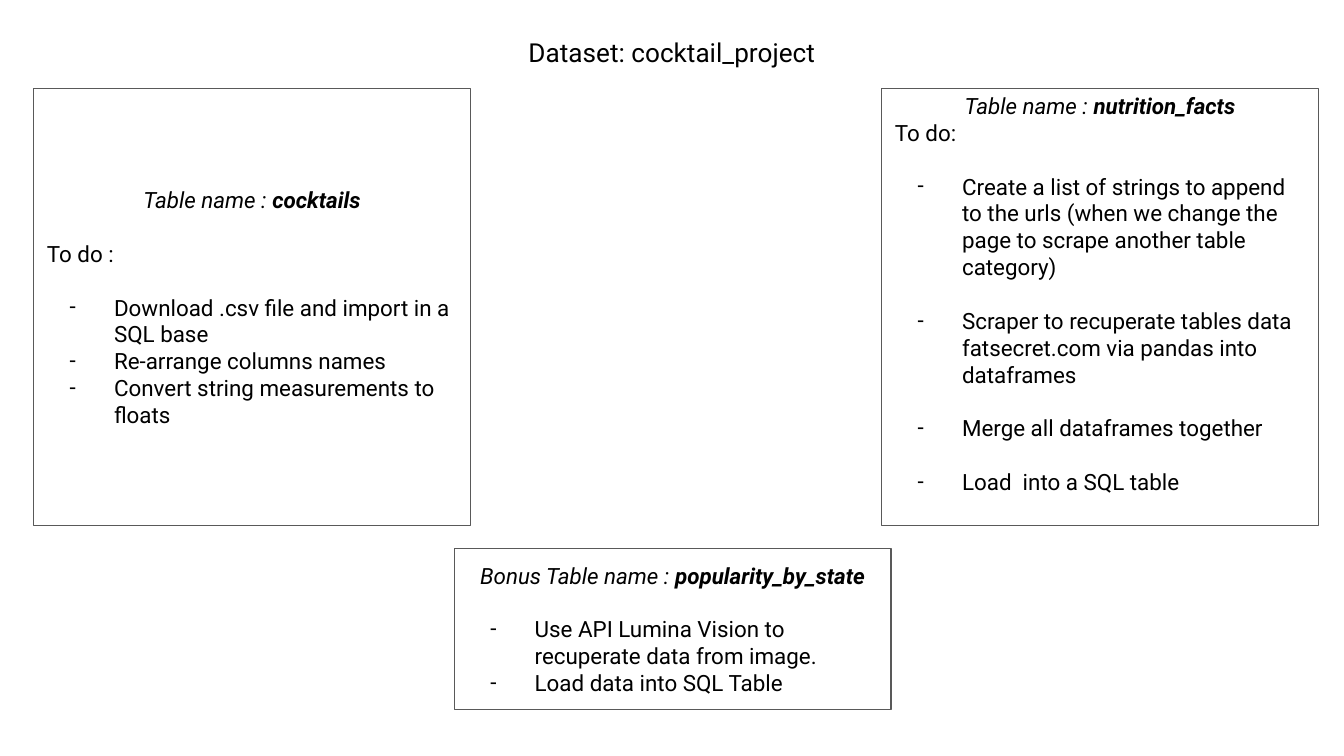
from lxml.etree import SubElement
from pptx import Presentation
from pptx.dml.color import RGBColor
from pptx.enum.shapes import MSO_SHAPE as Shape
from pptx.enum.text import MSO_ANCHOR as Anchor, MSO_AUTO_SIZE as AutoSize, PP_ALIGN as Align
from pptx.oxml.ns import qn
from pptx.util import Inches, Pt

COLORS = {"text": "000000", "border": "595959"}
FONT = "Roboto"
BLANK_LINE = 14.4  # points, one line of 12 pt text
BOX_WIDTH = 3.25


def set_attributes(target, values):
    for name, value in values.items():
        setattr(target, name, value)


def add_run(paragraph, text, size=12, **styles):
    run = paragraph.add_run()
    run.text = text
    set_attributes(run.font, {"name": FONT, "size": Pt(size), **styles})
    run.font.color.rgb = RGBColor.from_string(COLORS["text"])


def format_frame(frame, anchor, top=0.1, bottom=0.1):
    set_attributes(frame, {
        "word_wrap": True, "auto_size": AutoSize.NONE, "vertical_anchor": anchor,
        "margin_left": Inches(0.1), "margin_right": Inches(0.1),
        "margin_top": Inches(top), "margin_bottom": Inches(bottom),
    })


def add_dash(paragraph):
    properties = paragraph._p.get_or_add_pPr()
    properties.set("marL", str(Inches(0.5)))
    properties.set("indent", str(Inches(-0.33)))
    color = SubElement(properties, qn("a:buClr"))
    SubElement(color, qn("a:srgbClr"), val=COLORS["text"])
    SubElement(properties, qn("a:buFont"), typeface=FONT)
    SubElement(properties, qn("a:buChar"), char="-")


def add_title(slide, box, text):
    title = slide.shapes.title
    set_attributes(title, dict(zip(("left", "top", "width", "height"), map(Inches, box))))
    format_frame(title.text_frame, Anchor.TOP)
    paragraph = title.text_frame.paragraphs[0]
    paragraph.alignment = Align.CENTER
    add_run(paragraph, text, size=14)


def add_table_box(slide, box, label, name, lines, **margins):
    """Draw a bordered box; each line is (text, is_bullet, has_gap_before)."""
    shape = slide.shapes.add_shape(Shape.RECTANGLE, *map(Inches, box))
    shape.shadow.inherit = False
    shape.fill.background()
    shape.line.color.rgb = RGBColor.from_string(COLORS["border"])
    shape.line.width = Pt(0.75)
    frame = shape.text_frame
    format_frame(frame, Anchor.MIDDLE, **margins)

    # Heading with the table name
    heading = frame.paragraphs[0]
    heading.alignment = Align.CENTER
    add_run(heading, label, italic=True)
    add_run(heading, name, italic=True, bold=True)

    # To-do lines
    for text, is_bullet, has_gap in lines:
        paragraph = frame.add_paragraph()
        if is_bullet:
            add_dash(paragraph)
        paragraph.alignment = Align.LEFT
        paragraph.space_before = Pt(BLANK_LINE if has_gap else 0)
        add_run(paragraph, text)


def main():
    # Widescreen 16:9 slide
    presentation = Presentation()
    presentation.slide_width = Inches(10)
    presentation.slide_height = presentation.slide_width * 9 // 16
    slide = presentation.slides.add_slide(presentation.slide_layouts[5])

    add_title(slide, (2.81, 0.17, 4.38, 0.44), "Dataset: cocktail_project")

    # Main tables
    add_table_box(slide, (0.25, 0.66, BOX_WIDTH, BOX_WIDTH), "Table name : ", "cocktails", [
        ("To do :", False, True),
        ("Download .csv file and import in a SQL base", True, True),
        ("Re-arrange columns names", True, False),
        ("Convert string measurements to floats", True, False),
    ])
    add_table_box(slide, (6.56, 0.66, BOX_WIDTH, BOX_WIDTH), "Table name : ", "nutrition_facts", [
        ("To do:", False, False),
        ("Create a list of strings to append to the urls (when we change the page "
         "to scrape another table category)", True, True),
        ("Scraper to recuperate tables data fatsecret.com via pandas into dataframes", True, True),
        ("Merge all dataframes together", True, True),
        ("Load  into a SQL table", True, True),
    ], top=0.02, bottom=0.22)

    # Bonus table
    add_table_box(slide, (3.38, 4.08, BOX_WIDTH, 1.2), "Bonus Table name : ", "popularity_by_state", [
        ("Use API Lumina Vision to recuperate data from image.", True, True),
        ("Load data into SQL Table", True, False),
    ])

    presentation.save("out.pptx")


if __name__ == "__main__":
    main()
